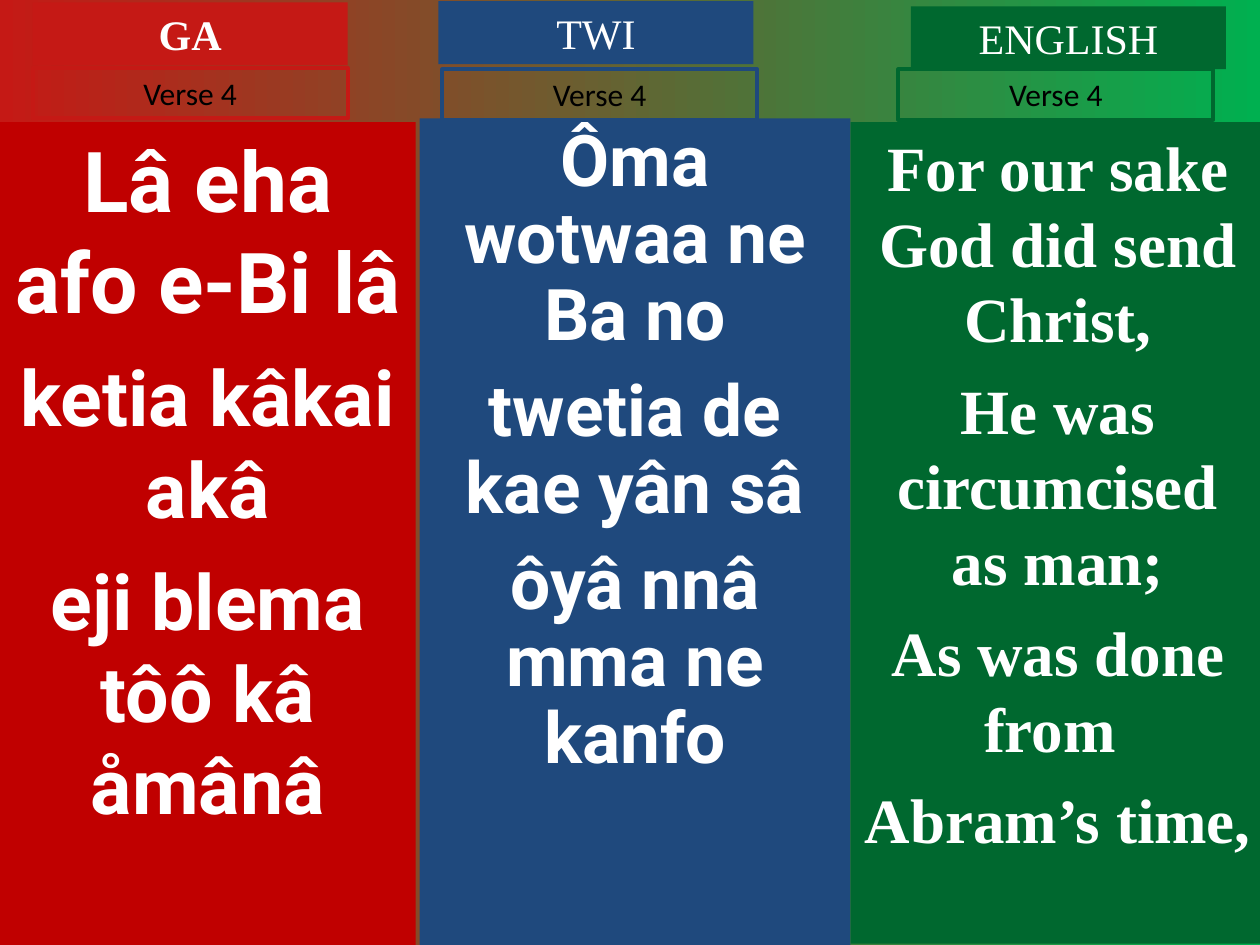
import pptx
import pptx.util
import pptx.dml.color
import pptx.enum.shapes
import pptx.enum.text

Pt = pptx.util.Pt
RGB = pptx.dml.color.RGBColor

CRIMSON = RGB(0xC0, 0x00, 0x00)
RED = RGB(0xC5, 0x19, 0x15)
BLUE = RGB(0x1F, 0x49, 0x7D)
GREEN = RGB(0x00, 0x68, 0x2F)
LIME = RGB(0x00, 0xB0, 0x50)
WHITE = RGB(0xFF, 0xFF, 0xFF)
BLACK = RGB(0x00, 0x00, 0x00)

SERIF = "Times New Roman"
HEAD_SIZE = (180, 36)
VERSE_SIZE = (180, 28.8)


def add_panel(slide, box, fill=None, line=None):
    """Add a plain rectangle and return its text frame."""
    kind = pptx.enum.shapes.MSO_SHAPE.RECTANGLE
    shape = slide.shapes.add_shape(kind, *[Pt(n) for n in box])
    shape.shadow.inherit = False
    if fill is None:
        shape.fill.background()
    else:
        shape.fill.solid()
        shape.fill.fore_color.rgb = fill
    if line is None:
        shape.line.fill.background()
    else:
        shape.line.color.rgb = line
        shape.line.width = Pt(2.25)
    frame = shape.text_frame
    frame.word_wrap = True
    frame.vertical_anchor = pptx.enum.text.MSO_ANCHOR.TOP
    return frame


def add_lines(frame, lines, sizes, face, color, bold, gap=0, pitch=None):
    """Fill a frame with one centred paragraph per line."""
    for i, (line, size) in enumerate(zip(lines, sizes)):
        para = frame.paragraphs[0] if i == 0 else frame.add_paragraph()
        para.text = line
        para.alignment = pptx.enum.text.PP_ALIGN.CENTER
        para.space_before = Pt(gap if i else 0)
        if pitch:
            para.line_spacing = pitch
        para.font.size = Pt(size)
        para.font.name = face
        para.font.bold = bold
        para.font.color.rgb = color


def add_body(slide, box, fill, lines, sizes, face, gap, pitch=None):
    """Large verse text on a solid column."""
    frame = add_panel(slide, box, fill=fill)
    add_lines(frame, lines, sizes, face, WHITE, True, gap, pitch)


def add_head(slide, head, verse, color, title, bold):
    """Language label with the outlined verse number under it."""
    grow = pptx.enum.text.MSO_AUTO_SIZE.SHAPE_TO_FIT_TEXT
    frame = add_panel(slide, head + HEAD_SIZE, fill=color)
    frame.auto_size = grow
    add_lines(frame, [title], [24], SERIF, WHITE, bold)
    frame = add_panel(slide, verse + VERSE_SIZE, line=color)
    frame.auto_size = grow
    add_lines(frame, ["Verse 4"], [18], "Calibri", BLACK, False)


def main():
    deck = pptx.Presentation()
    deck.slide_width, deck.slide_height = Pt(720), Pt(540)
    slide = deck.slides.add_slide(deck.slide_layouts[6])

    # Background: red to green, left to right
    fill = slide.background.fill
    fill.gradient()
    fill.gradient_angle = 0
    for stop, place, color in zip(fill.gradient_stops, (0, 1), (RED, LIME)):
        stop.position = place
        stop.color.rgb = color

    # Verse columns
    add_body(slide, (0, 69.84, 237.6, 470.16), CRIMSON,
             ["Lâ eha afo e-Bi lâ", "ketia kâkai akâ",
              "eji blema tôô kâ åmânâ"],
             [48, 44, 44], "Roboto", 11)
    add_body(slide, (239.76, 67.68, 246.24, 472.32), BLUE,
             ["Ôma wotwaa ne Ba no", "twetia de kae yân sâ",
              "ôyâ nnâ mma ne kanfo"],
             [40.7] * 3, "Roboto", 11, 0.9)
    add_body(slide, (486, 69.84, 236.88, 469.44), GREEN,
             ["For our sake God did send Christ,",
              "He was circumcised as man;",
              "As was done from ", "Abram’s time,"],
             [36] * 4, SERIF, 9)

    # Language labels
    add_head(slide, (18.72, 1.44), (18.72, 38.88), RED, "GA", True)
    add_head(slide, (250.56, 0.72), (252.72, 39.6), BLUE, "TWI", False)
    add_head(slide, (520.56, 3.6), (513.36, 39.6), GREEN, "ENGLISH", False)

    deck.save("out.pptx")


if __name__ == "__main__":
    main()
